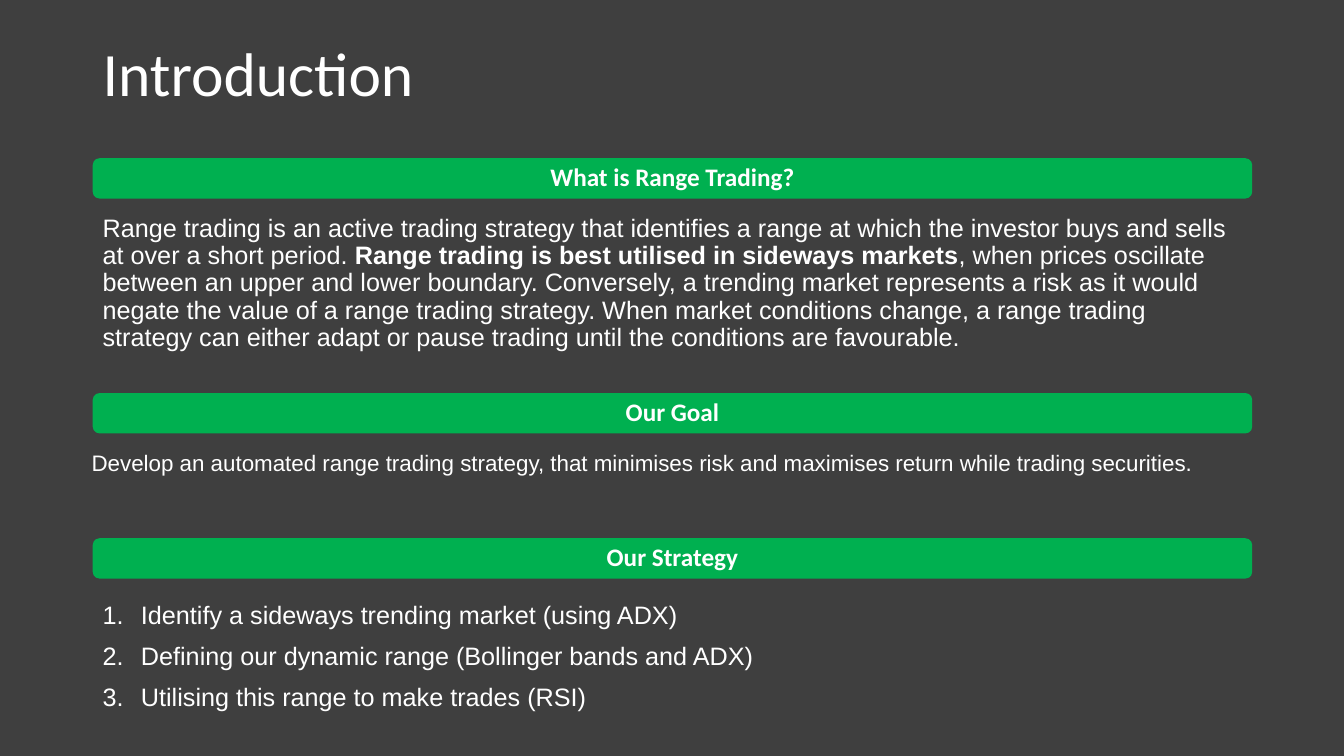
from pptx import Presentation
from pptx.dml.color import RGBColor
from pptx.enum.shapes import MSO_SHAPE
from pptx.enum.text import MSO_ANCHOR, PP_ALIGN
from pptx.util import Inches, Pt
from lxml import etree

GREY = RGBColor(0x3F, 0x3F, 0x3F)
GREEN = RGBColor(0x00, 0xB0, 0x50)
WHITE = RGBColor(0xFF, 0xFF, 0xFF)
A = "{http://schemas.openxmlformats.org/drawingml/2006/main}"
LEFT, WIDTH = 0.92, 11.5

prs = Presentation()
prs.slide_width, prs.slide_height = Inches(13.33), Inches(7.5)
s = prs.slides.add_slide(prs.slide_layouts[6])
s.background.fill.solid()
s.background.fill.fore_color.rgb = GREY


def add_text(left, top, height):
    tf = s.shapes.add_textbox(Inches(left), Inches(top), Inches(WIDTH), Inches(height)).text_frame
    tf.word_wrap = True
    return tf


def style(p, size, font="Arial", before=10):
    p.line_spacing = 0.9
    p.space_before = Pt(before)
    p.font.size = Pt(size)
    p.font.name = font
    p.font.color.rgb = WHITE


# Title
tf = add_text(LEFT, 0.03, 1.46)
tf.vertical_anchor = MSO_ANCHOR.MIDDLE
p = tf.paragraphs[0]
p.text = "Introduction"
style(p, 44, "Calibri", 0)

# Green section bars
for top, heading in [(1.57, "What is Range Trading?"), (3.9, "Our Goal"), (5.34, "Our Strategy")]:
    sp = s.shapes.add_shape(MSO_SHAPE.ROUNDED_RECTANGLE, Inches(LEFT), Inches(top), Inches(WIDTH), Inches(0.4))
    sp.shadow.inherit = False
    sp.fill.solid()
    sp.fill.fore_color.rgb = GREEN
    sp.line.fill.background()
    sp.text_frame.vertical_anchor = MSO_ANCHOR.TOP
    p = sp.text_frame.paragraphs[0]
    p.text = heading
    p.alignment = PP_ALIGN.CENTER
    style(p, 18, "Calibri")
    p.font.bold = True

# What is range trading
p = add_text(LEFT, 2.09, 1.11).paragraphs[0]
style(p, 18)
for text, bold in [
    ("Range trading is an active trading strategy that identifies a range at which the investor "
     "buys and sells at over a short period. ", False),
    ("Range trading is best utilised in sideways markets", True),
    (", when prices oscillate between an upper and lower boundary. Conversely, a trending market "
     "represents a risk as it would negate the value of a range trading strategy. When market "
     "conditions change, a range trading strategy can either adapt or pause trading until the "
     "conditions are favourable.", False),
]:
    r = p.add_run()
    r.text = text
    r.font.bold = bold

# Goal
p = add_text(0.81, 4.44, 0.86).paragraphs[0]
p.text = ("Develop an automated range trading strategy, that minimises risk and maximises return "
          "while trading securities.")
style(p, 16)

# Numbered strategy steps
tf = add_text(LEFT, 5.93, 1.5)
tf.text = "\n".join([
    "Identify a sideways trending market (using ADX)",
    "Defining our dynamic range (Bollinger bands and ADX)",
    "Utilising this range to make trades (RSI)",
])
for p in tf.paragraphs:
    style(p, 18)
    pPr = p._p.get_or_add_pPr()
    pPr.set("marL", str(Inches(0.38)))
    pPr.set("indent", str(Inches(-0.38)))
    number = etree.Element(A + "buAutoNum", type="arabicPeriod")
    pPr.find(A + "defRPr").addprevious(number)

prs.save("out.pptx")
